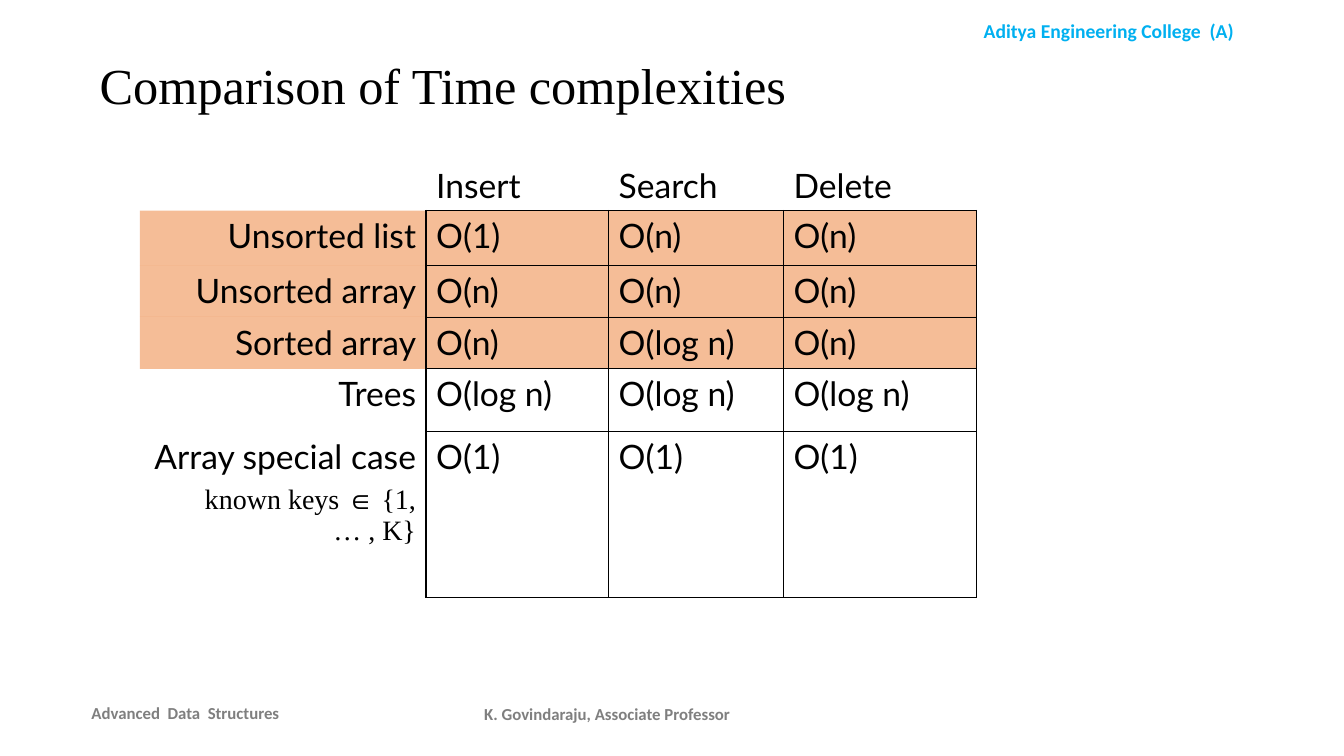
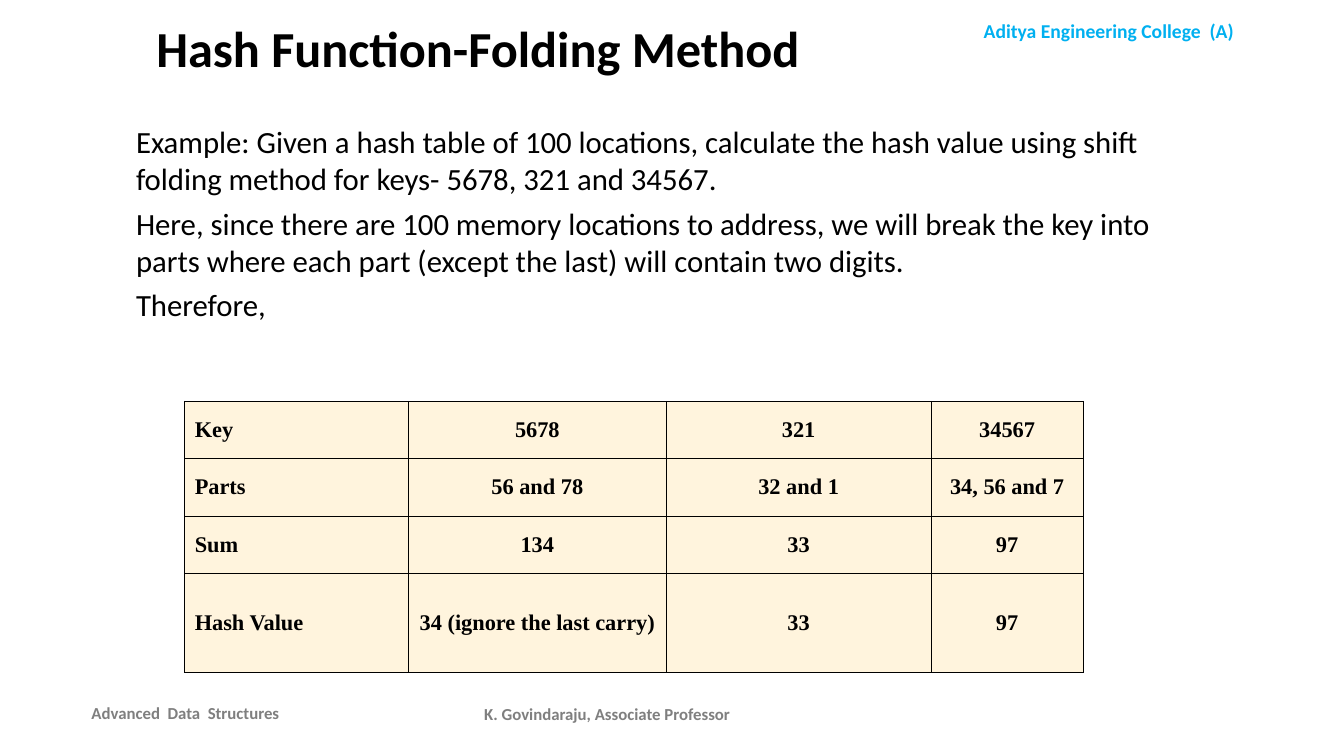
from lxml import etree
from pptx import Presentation
from pptx.dml.color import RGBColor
from pptx.enum.text import MSO_ANCHOR as Anchor, MSO_AUTO_SIZE as AutoSize, PP_ALIGN as Align
from pptx.oxml import parse_xml
from pptx.oxml.ns import nsdecls, qn
from pptx.util import Pt

COLORS = {
    "text": "000000",
    "college": "00B0F0",
    "footer": "7F7F7F",
    "highlight": "ED7D31",
    "cream": "FFF4DD",
}
PLAIN_TABLE_STYLE = "{2D5ABB26-0587-4C30-8999-92F81FD0307C}"
THICK, THIN = 1.08, 0.45
SERIF = "Times New Roman"


def set_font(font, size, name="Calibri", color="text", bold=False):
    font.size, font.name, font.bold = Pt(size), name, bold
    font.color.rgb = RGBColor.from_string(COLORS[color])


def set_borders(cell, **widths):
    """Draw the named sides (L, R, T, B), given in schema order, at widths in points."""
    properties = cell._tc.get_or_add_tcPr()
    for position, (side, width) in enumerate(widths.items()):
        properties.insert(position, parse_xml(
            f'<a:ln{side} {nsdecls("a")} w="{Pt(width)}"><a:solidFill>'
            f'<a:srgbClr val="{COLORS["text"]}"/></a:solidFill></a:ln{side}>'))


presentation = Presentation()
presentation.slide_width, presentation.slide_height = Pt(960.5), Pt(540)
layouts = presentation.slide_layouts

# Titles and the text every slide carries
# layout, title, left, top, width, height, font, bold, line spacing
titles = [
    (layouts[5], "Comparison of Time complexities", 64, 39.6, 864, 68, SERIF, False, 0.9),
    (layouts[1], "Hash Function-Folding Method", 104.5, 0, 520, 59, "Calibri", True, 1.2),
]
# text, left, top, width, height, size, color, alignment, anchor
shared_texts = [
    ("Aditya Engineering College  (A)", 654.5, 10, 276, 24.5, 14, "college",
     Align.CENTER, Anchor.TOP),
    ("Advanced  Data  Structures", 58.3, 494.6, 152, 29, 12, "footer",
     Align.LEFT, Anchor.MIDDLE),
    ("K. Govindaraju, Associate Professor", 326, 495.4, 216, 29, 12, "footer",
     Align.CENTER, Anchor.MIDDLE),
]
slides = []
for layout, heading, left, top, width, height, font_name, bold, spacing in titles:
    slide = presentation.slides.add_slide(layout)
    slides.append(slide)
    title = slide.shapes.title
    title.left, title.top, title.width, title.height = Pt(left), Pt(top), Pt(width), Pt(height)
    frame = title.text_frame
    frame.text = heading
    frame.word_wrap, frame.auto_size = True, AutoSize.NONE
    frame.vertical_anchor = Anchor.TOP
    paragraph = frame.paragraphs[0]
    paragraph.alignment, paragraph.line_spacing = Align.LEFT, spacing
    paragraph.space_before = Pt(0)
    set_font(paragraph.font, 36, font_name, bold=bold)

    for text, left, top, width, height, size, color, alignment, anchor in shared_texts:
        box = slide.shapes.add_textbox(Pt(left), Pt(top), Pt(width), Pt(height))
        frame = box.text_frame
        frame.text = text
        frame.word_wrap, frame.vertical_anchor = True, anchor
        paragraph = frame.paragraphs[0]
        paragraph.alignment = alignment
        set_font(paragraph.font, size, color=color, bold=True)

complexity_slide, folding_slide = slides

# Body text of the folding slide
body = folding_slide.placeholders[1]
body.left, body.top, body.width, body.height = Pt(90), Pt(84.2), Pt(780), Pt(150)
frame = body.text_frame
frame.word_wrap, frame.auto_size = True, AutoSize.NONE
frame.text = "\n".join([
    "Example: Given a hash table of 100 locations, calculate the hash value using shift "
    "folding method for keys- 5678, 321 and 34567.",
    "Here, since there are 100 memory locations to address, we will break the key into "
    "parts where each part (except the last) will contain two digits.",
    "Therefore,",
])
for index, paragraph in enumerate(frame.paragraphs):
    properties = paragraph._p.get_or_add_pPr()
    properties.set("marL", "0")
    properties.set("indent", "0")
    etree.SubElement(properties, qn("a:buNone"))
    paragraph.space_before = Pt(5.5 if index else 0)
    set_font(paragraph.font, 22)

# Both tables: slide, left, top, column widths, row heights, cell texts
complexity_rows = [
    ["", "Insert", "Search", "Delete"],
    ["Unsorted list", "O(1)", "O(n)", "O(n)"],
    ["Unsorted array", "O(n)", "O(n)", "O(n)"],
    ["Sorted array", "O(n)", "O(log n)", "O(n)"],
    ["Trees", "O(log n)", "O(log n)", "O(log n)"],
    ["Array special case", "O(1)", "O(1)", "O(1)"],
]
folding_rows = [
    ["Key", "5678", "321", "34567"],
    ["Parts", "56 and 78", "32 and 1", "34, 56 and 7"],
    ["Sum", "134", "33", "97"],
    ["Hash Value", "34 (ignore the last carry)", "33", "97"],
]
tables = []
for slide, left, top, widths, heights, rows in [
    (complexity_slide, 100, 114.4, [204.5, 130.5, 125, 138], [36, 39, 37, 37, 45, 118],
     complexity_rows),
    (folding_slide, 132, 286.6, [160, 184, 189.5, 108.5], [41, 41, 41, 71], folding_rows),
]:
    table = slide.shapes.add_table(len(rows), len(widths), Pt(left), Pt(top),
                                   Pt(sum(widths)), Pt(sum(heights))).table
    table.first_row = table.horz_banding = False
    table._tbl.tblPr.find(qn("a:tableStyleId")).text = PLAIN_TABLE_STYLE
    for column, width in zip(table.columns, widths):
        column.width = Pt(width)
    for row, height, texts in zip(table.rows, heights, rows):
        row.height = Pt(height)
        for cell, text in zip(row.cells, texts):
            cell.text = text
    tables.append(table)
complexity_table, folding_table = tables

for row_index, row in enumerate(complexity_table.rows):
    for column_index, cell in enumerate(row.cells):
        paragraph = cell.text_frame.paragraphs[0]
        paragraph.alignment = Align.LEFT if column_index else Align.RIGHT
        set_font(paragraph.font, 24, "Lato")
        if 1 <= row_index <= 3:
            cell.fill.solid()
            cell.fill.fore_color.rgb = RGBColor.from_string(COLORS["highlight"])
            color_element = cell._tc.tcPr.find(".//" + qn("a:srgbClr"))
            etree.SubElement(color_element, qn("a:alpha")).set("val", "50000")
        else:
            cell.fill.background()
        if row_index and column_index:
            set_borders(cell, L=THICK if column_index == 1 else THIN,
                        R=THICK if column_index == 3 else THIN,
                        T=THICK if row_index == 1 else THIN, B=THIN)
        elif row_index:
            set_borders(cell, R=THICK)
        elif column_index:
            set_borders(cell, B=THICK)

paragraph = complexity_table.cell(5, 0).text_frame.add_paragraph()
paragraph.alignment, paragraph.space_before = Align.RIGHT, Pt(5)
paragraph._p.get_or_add_pPr().set("marL", str(Pt(36)))
for text, font_name in [("known keys ", SERIF), ("∈", "Arial"), (" {1, … , K}", SERIF)]:
    run = paragraph.add_run()
    run.text = text
    set_font(run.font, 20, font_name)

for row in folding_table.rows:
    for column_index, cell in enumerate(row.cells):
        cell.vertical_anchor = Anchor.MIDDLE
        cell.fill.solid()
        cell.fill.fore_color.rgb = RGBColor.from_string(COLORS["cream"])
        paragraph = cell.text_frame.paragraphs[0]
        set_font(paragraph.font, 16, SERIF, bold=True)
        if column_index:
            paragraph.alignment = Align.CENTER
            cell.margin_left = cell.margin_right = Pt(5)
        set_borders(cell, L=THIN, R=THIN, T=THIN, B=THIN)

presentation.save("out.pptx")
